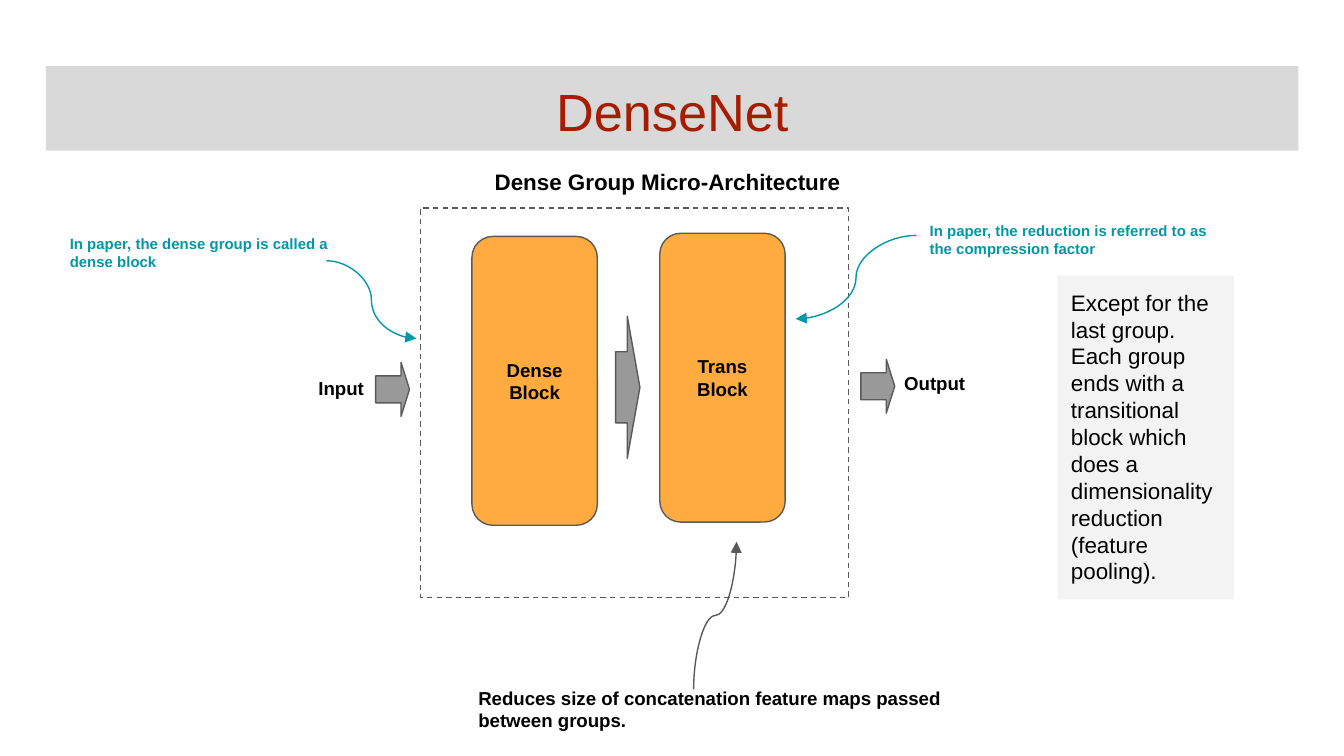
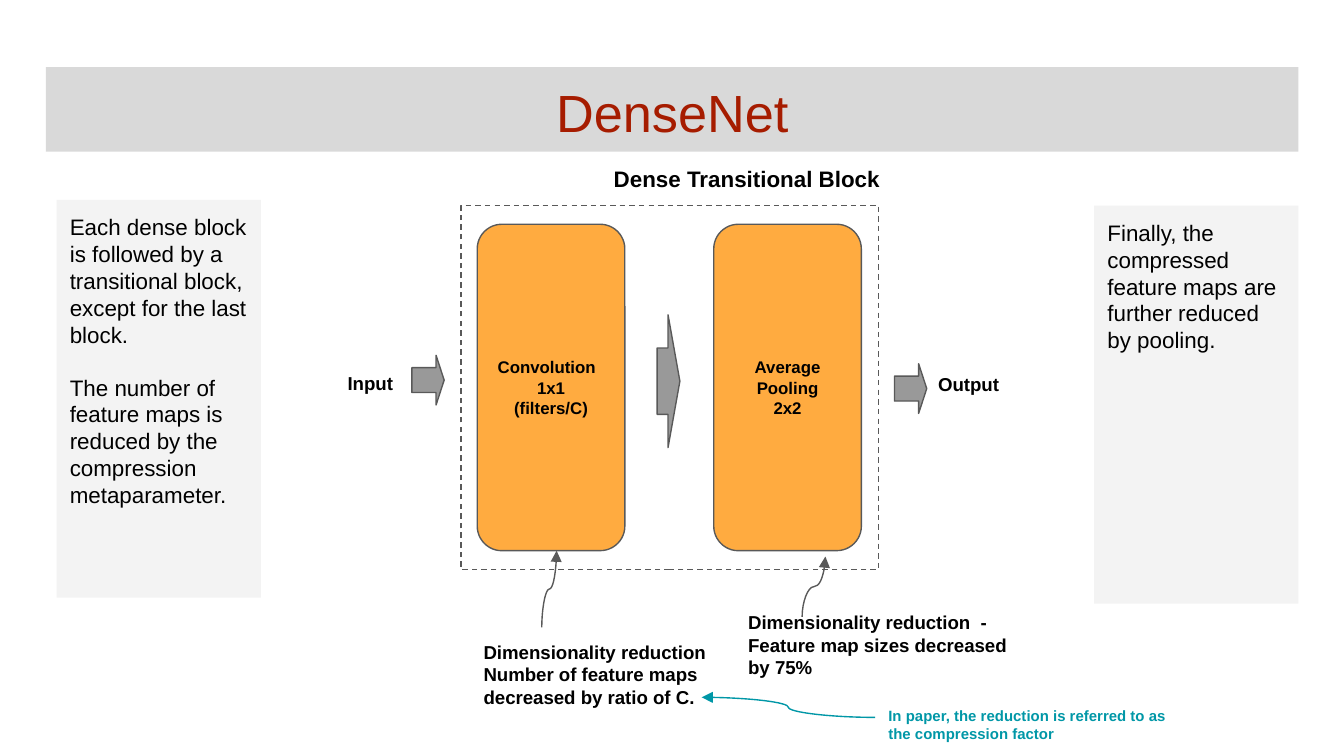
"""Build two slides on the DenseNet micro-architecture."""
from lxml import etree
from pptx import Presentation
from pptx.dml.color import RGBColor
from pptx.enum.dml import MSO_LINE
from pptx.enum.shapes import MSO_CONNECTOR, MSO_SHAPE
from pptx.enum.text import MSO_ANCHOR, PP_ALIGN
from pptx.oxml.ns import qn
from pptx.util import Cm, Pt

RECT = MSO_SHAPE.RECTANGLE
ROUND = MSO_SHAPE.ROUNDED_RECTANGLE
ARROW = MSO_SHAPE.DOWN_ARROW
CURVE = MSO_CONNECTOR.CURVE
DASH = MSO_LINE.DASH
LEFT, CENTER = PP_ALIGN.LEFT, PP_ALIGN.CENTER
TOP, MIDDLE = MSO_ANCHOR.TOP, MSO_ANCHOR.MIDDLE

COLORS = {
    "band": "D9D9D9",
    "title": "A61C00",
    "block": "FFAB40",
    "arrow": "999999",
    "panel": "F3F3F3",
    "line": "595959",
    "teal": "0097A7",
    "black": "000000",
}
FONT = "Arial"
INSET = 0.25
FACTOR = "In paper, the reduction is referred to as the compression factor"


def color(name):
    return RGBColor.from_string(COLORS[name])


def write(shape, *lines, size=10, bold=True, ink="black", align=LEFT,
          anchor=TOP, gap=0):
    frame = shape.text_frame
    frame.word_wrap = True
    frame.vertical_anchor = anchor
    frame.margin_left = frame.margin_right = Cm(INSET)
    frame.margin_top = frame.margin_bottom = Cm(INSET)
    for i, line in enumerate(lines):
        para = frame.add_paragraph() if i else frame.paragraphs[0]
        para.text = line
        para.alignment = align
        if i and gap:
            para.space_before = Pt(gap)
        font = para.font
        font.name, font.size, font.bold = FONT, Pt(size), bold
        font.color.rgb = color(ink)
    return frame


class Deck:
    def __init__(self):
        self.prs = Presentation()
        self.prs.slide_width = Cm(25.4)
        self.prs.slide_height = Cm(14.29)

    def start(self, title, top):
        self.slide = self.prs.slides.add_slide(self.prs.slide_layouts[6])
        band = self.shape(RECT, (0.87, top, 23.67, 1.6), fill="band")
        write(band, title, size=28, bold=False, ink="title", align=CENTER)

    def shape(self, kind, box, fill=None, line=None):
        item = self.slide.shapes.add_shape(kind, *map(Cm, box))
        item.shadow.inherit = False
        if fill:
            item.fill.solid()
            item.fill.fore_color.rgb = color(fill)
        else:
            item.fill.background()
        if line:
            item.line.color.rgb = color(line)
            item.line.width = Pt(0.75)
        else:
            item.line.fill.background()
        return item

    def frame(self, box):
        self.shape(RECT, box, line="line").line.dash_style = DASH

    def block(self, box, *lines, size):
        item = self.shape(ROUND, box, "block", "line")
        return write(item, *lines, size=size, align=CENTER, anchor=MIDDLE)

    def panel(self, box, *lines):
        write(self.shape(RECT, box, "panel"), *lines, size=12, bold=False, gap=14)

    def arrow(self, box, head=0.25):
        item = self.shape(ARROW, box, "arrow", "line")
        item.adjustments[1] = head
        item.rotation = 270

    def label(self, box, *lines, **form):
        write(self.slide.shapes.add_textbox(*map(Cm, box)), *lines, **form)

    def remark(self, box, line):
        self.label(box, line, size=8, ink="teal")

    def curve(self, start, end, ink="teal", turn=0):
        (x1, y1), (x2, y2) = start, end
        x, y = (x1 + x2) / 2, (y1 + y2) / 2
        dx, dy = (x2 - x1) / 2, (y2 - y1) / 2
        dx, dy = {0: (dx, dy), 180: (-dx, -dy), 270: (-dy, dx)}[turn]
        ends = (x - dx, y - dy, x + dx, y + dy)
        link = self.slide.shapes.add_connector(CURVE, *map(Cm, ends))
        link.rotation = turn
        link.line.color.rgb = color(ink)
        link.line.width = Pt(0.75)
        tail = etree.SubElement(link.line._get_or_add_ln(), qn("a:tailEnd"))
        tail.set("type", "triangle")
        etree.SubElement(link._element.spPr, qn("a:effectLst"))


def group(deck):
    deck.start("DenseNet", 1.25)
    deck.frame((7.95, 3.93, 8.09, 7.37))
    deck.block((8.92, 4.47, 2.37, 5.46), "Dense\nBlock", size=10)
    deck.block((12.47, 4.41, 2.37, 5.46), "Trans", "Block", size=10)
    deck.label((9.1, 2.92, 7.21, 0.91), "Dense Group Micro-Architecture", size=12)
    deck.label((5.77, 6.91, 1.55, 0.81), "Input")
    deck.label((16.84, 6.81, 1.75, 0.81), "Output")
    deck.arrow((6.91, 7.04, 1.02, 0.64))
    deck.arrow((16.08, 6.98, 1.02, 0.64))
    deck.arrow((10.52, 7.09, 2.69, 0.46), head=0.52)
    deck.label((8.79, 12.73, 10.62, 1.57),
               "Reduces size of concatenation feature maps passed between groups.")
    deck.curve((13.11, 13.03), (13.92, 10.24), "line", 270)
    deck.remark((17.32, 3.94, 6.02, 1.02), FACTOR)
    deck.curve((17.32, 4.45), (15.04, 6.03))
    deck.remark((1.07, 4.19, 6.02, 1.02),
                "In paper, the dense group is called a dense block")
    deck.curve((6.17, 4.93), (7.87, 6.4))
    deck.panel((19.99, 5.21, 3.33, 6.12),
               "Except for the last group. Each group ends with a transitional "
               "block which does a dimensionality reduction (feature pooling).")


def trans(deck):
    deck.start("DenseNet", 1.27)
    deck.frame((8.71, 3.89, 7.9, 6.88))
    conv = deck.block((9.02, 4.24, 2.79, 6.17),
                      "Convolution", "1x1", "(filters/C)", size=9)
    conv.paragraphs[0].alignment = LEFT
    deck.label((11.35, 2.87, 5.69, 1.02), "Dense Transitional Block", size=12)
    deck.arrow((11.38, 6.99, 2.51, 0.43), head=0.52)
    deck.block((13.49, 4.24, 2.79, 6.17), "Average", "Pooling", "2x2", size=9)
    deck.label((8.89, 11.86, 5.59, 1.91), "Dimensionality reduction",
               "Number of feature maps decreased by ratio of C.")
    deck.curve((10.24, 11.86), (10.52, 10.41), "line", 270)
    deck.arrow((7.62, 6.88, 0.94, 0.61))
    deck.label((6.32, 6.81, 1.47, 0.76), "Input")
    deck.label((17.48, 6.83, 1.68, 0.76), "Output")
    deck.arrow((16.74, 7.04, 0.94, 0.61))
    deck.label((13.89, 11.3, 5.59, 1.45), "Dimensionality reduction  -",
               "Feature map sizes decreased", "by 75%")
    deck.curve((15.16, 11.66), (15.6, 10.52), "line", 270)
    deck.remark((16.54, 13.11, 5.79, 0.94), FACTOR)
    deck.curve((16.54, 13.56), (13.26, 13.18), turn=180)
    deck.panel((20.68, 3.89, 3.86, 7.52),
               "Finally, the compressed feature maps are further reduced by pooling.")
    deck.panel((1.07, 3.78, 3.86, 7.52),
               "Each dense block is followed by a transitional block, except for "
               "the last block.",
               "The number of feature maps is reduced by the compression "
               "metaparameter.")


def main():
    deck = Deck()
    group(deck)
    trans(deck)
    deck.prs.save("out.pptx")


if __name__ == "__main__":
    main()
